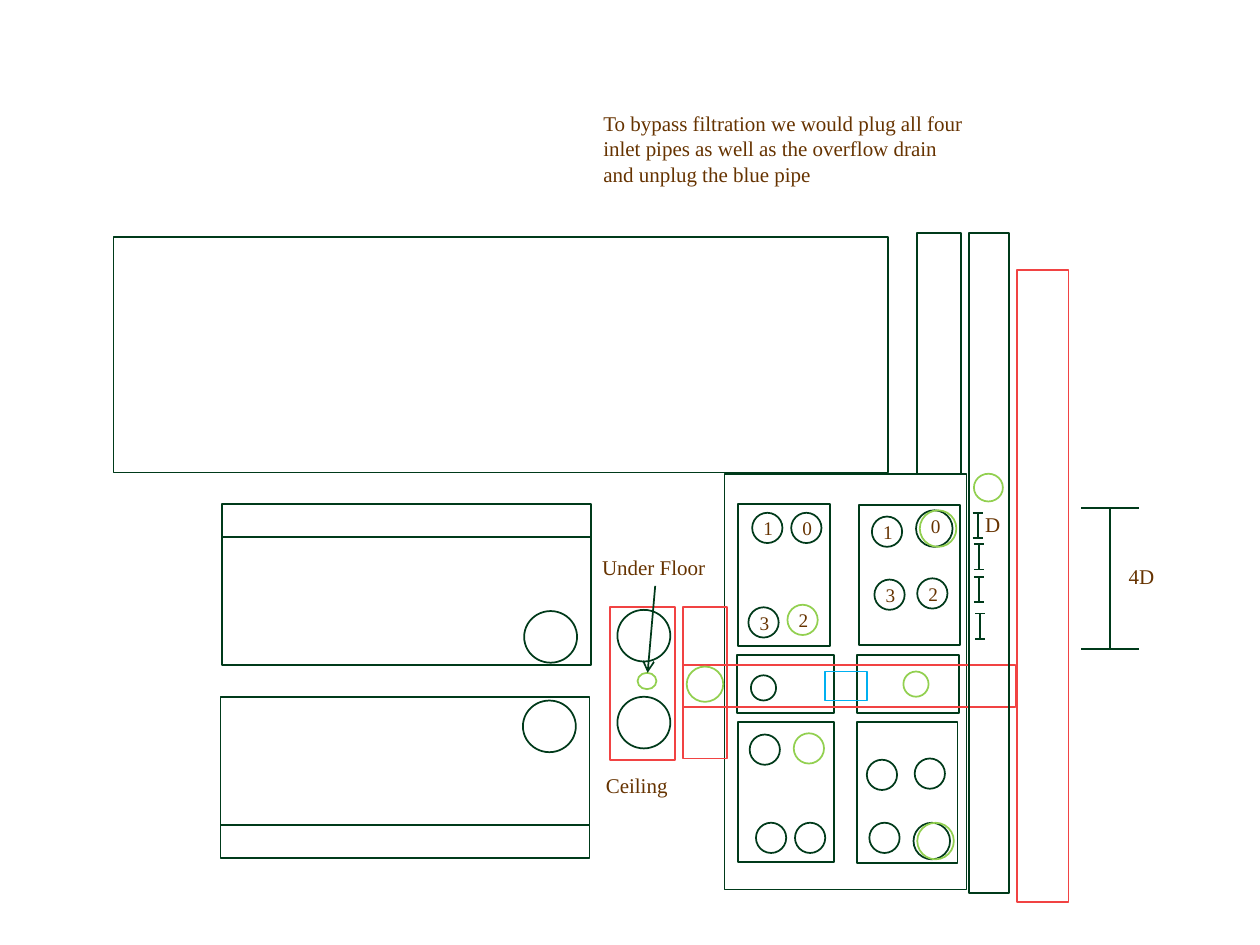
from dataclasses import dataclass
from pptx import Presentation
from pptx.dml.color import RGBColor
from pptx.enum import shapes, text
from pptx.oxml.ns import qn
from pptx.util import Inches, Pt
from lxml import etree


@dataclass(frozen=True)
class Theme:
    outline: str = "003A1A"
    drain: str = "92D050"
    duct: str = "F14343"
    bypass: str = "00B0F0"
    ink: str = "663300"
    font: str = "Times New Roman"
    note_size: float = 12
    digit_size: float = 11
    stroke: float = 1


THEME = Theme()
RECT = shapes.MSO_SHAPE.RECTANGLE
OVAL = shapes.MSO_SHAPE.OVAL


def draw(parent, kind, x, y, w, h, color=THEME.outline):
    item = parent.add_shape(kind, Inches(x), Inches(y), Inches(w), Inches(h))
    item.shadow.inherit = False
    item.fill.background()
    item.line.color.rgb = RGBColor.from_string(color)
    item.line.width = Pt(THEME.stroke)
    return item


def line(parent, x1, y1, x2, y2, arrow=False):
    stroke = parent.add_connector(
        shapes.MSO_CONNECTOR.STRAIGHT, Inches(x1), Inches(y1), Inches(x2), Inches(y2))
    stroke.line.color.rgb = RGBColor.from_string(THEME.outline)
    stroke.line.width = Pt(THEME.stroke)
    if arrow:
        etree.SubElement(stroke.line._get_or_add_ln(), qn("a:tailEnd"), type="arrow")
    etree.SubElement(stroke._element.spPr, qn("a:effectLst"))


def write(parent, words, x, y, w, h, size=THEME.note_size, color=THEME.ink):
    box = parent.add_textbox(Inches(x), Inches(y), Inches(w), Inches(h))
    frame = box.text_frame
    frame.word_wrap = True
    frame.auto_size = text.MSO_AUTO_SIZE.SHAPE_TO_FIT_TEXT
    run = frame.paragraphs[0].add_run()
    run.text = words
    run.font.size = Pt(size)
    run.font.name = THEME.font
    run.font.color.rgb = RGBColor.from_string(color)


def chamber(parent, x, y, w, h, pipes):
    draw(parent, RECT, x, y, w, h)
    for dx, dy, size, color, digit in pipes:
        draw(parent, OVAL, x + dx, y + dy, size, size, color)
        if digit:
            write(parent, digit, x + dx - 0.01, y + dy - 0.02, 0.25, 0.29,
                  size=THEME.digit_size)


def filter_house(parent, x, y, w, h):
    dark, green = THEME.outline, THEME.drain
    draw(parent, RECT, x, y, w, h)
    chamber(parent, x + 0.11, y + 0.24, 0.73, 1.13, [
        (0.11, 0.07, 0.24, dark, "1"), (0.42, 0.07, 0.24, dark, "0"),
        (0.08, 0.82, 0.24, dark, "3"), (0.39, 0.8, 0.24, green, "2")])
    chamber(parent, x + 1.07, y + 0.25, 0.8, 1.11, [
        (0.1, 0.09, 0.24, dark, "1"), (0.45, 0.04, 0.29, dark, ""),
        (0.48, 0.04, 0.29, green, "0"),
        (0.12, 0.59, 0.24, dark, "3"), (0.46, 0.58, 0.24, dark, "2")])
    chamber(parent, x + 0.1, y + 1.44, 0.77, 0.46, [(0.11, 0.16, 0.2, dark, "")])
    chamber(parent, x + 1.05, y + 1.44, 0.81, 0.46, [(0.37, 0.13, 0.2, green, "")])
    chamber(parent, x + 0.11, y + 1.97, 0.76, 1.11, [
        (0.09, 0.1, 0.24, dark, ""), (0.44, 0.09, 0.24, green, ""),
        (0.14, 0.8, 0.24, dark, ""), (0.45, 0.8, 0.24, dark, "")])
    chamber(parent, x + 1.05, y + 1.97, 0.8, 1.12, [
        (0.08, 0.3, 0.24, dark, ""), (0.46, 0.29, 0.24, dark, ""),
        (0.1, 0.8, 0.24, dark, ""), (0.45, 0.8, 0.29, dark, ""),
        (0.48, 0.8, 0.29, green, "")])
    draw(parent, RECT, x + 0.8, y + 1.57, 0.33, 0.23, THEME.bypass)


def tank(parent, x, y, w, h, mirrored=False):
    group = parent.add_group_shape().shapes
    ledge, drain = 0.26, 0.41
    body = h - ledge
    draw(group, RECT, x, y if mirrored else y + ledge, w, body)
    draw(group, RECT, x, y + body if mirrored else y, w, ledge)
    draw(group, OVAL, x + 2.4, y + 0.03 if mirrored else y + h - drain - 0.02, 0.42, drain)


def duct_shaft(parent, x, y, w, h):
    draw(parent, RECT, x, y, w, h, THEME.duct)
    for dy in (0.02, 0.71):
        draw(parent, OVAL, x + 0.06, y + dy, 0.42, 0.41)
    draw(parent, OVAL, x + 0.22, y + 0.52, 0.15, 0.13, THEME.drain)
    write(parent, "Under Floor", x - 0.16, y - 0.47, 1.04, 0.3)
    write(parent, "Ceiling", x - 0.13, y + 1.26, 0.71, 0.3)
    line(parent, x + 0.36, y - 0.17, x + 0.3, y + 0.52, arrow=True)


def cross_duct(parent, x, y, w, h):
    draw(parent, RECT, x, y, 0.35, h, THEME.duct)
    draw(parent, RECT, x, y + 0.46, w, 0.33, THEME.duct)
    draw(parent, OVAL, x + 0.03, y + 0.47, 0.29, 0.28, THEME.drain)


def span_mark(parent, x, y, w, h):
    group = parent.add_group_shape().shapes
    middle = x + w / 2
    line(group, middle, y, middle, y + h)
    for end in (y, y + h):
        line(group, x, end, x + w, end)


def service_wall(parent, x, y, w, h):
    draw(parent, RECT, x - 0.41, y, 0.35, 1.91)
    draw(parent, RECT, x, y, w, h)
    draw(parent, OVAL, x + 0.04, y + 1.91, 0.23, 0.22, THEME.drain)
    for dx, dy in ((0.03, 2.22), (0.04, 2.47), (0.04, 2.73), (0.05, 3.02)):
        span_mark(parent, x + dx, y + dy, 0.08, 0.2)
    write(parent, "D", x + 0.03, y + 2.16, 0.43, 0.3)


def build():
    deck = Presentation()
    deck.slide_width, deck.slide_height = Inches(10), Inches(7.5)
    plan = deck.slides.add_slide(deck.slide_layouts[6]).shapes
    draw(plan, RECT, 0.9, 1.88, 6.15, 1.87)
    tank(plan, 1.76, 4, 2.93, 1.28)
    tank(plan, 1.75, 5.53, 2.93, 1.28, mirrored=True)
    duct_shaft(plan, 4.84, 4.82, 0.52, 1.21)
    filter_house(plan, 5.75, 3.76, 1.92, 3.3)
    cross_duct(plan, 5.42, 4.82, 2.64, 1.2)
    service_wall(plan, 7.69, 1.85, 0.32, 5.24)
    draw(plan, RECT, 8.07, 2.14, 0.41, 5.02, THEME.duct)
    span_mark(plan, 8.58, 4.03, 0.46, 1.12)
    write(plan, "4D", 8.86, 4.42, 0.43, 0.3)
    write(plan, "To bypass filtration we would plug all four inlet pipes as well as "
          "the overflow drain and unplug the blue pipe", 4.69, 0.83, 3.13, 0.71)
    deck.save("out.pptx")


build()
